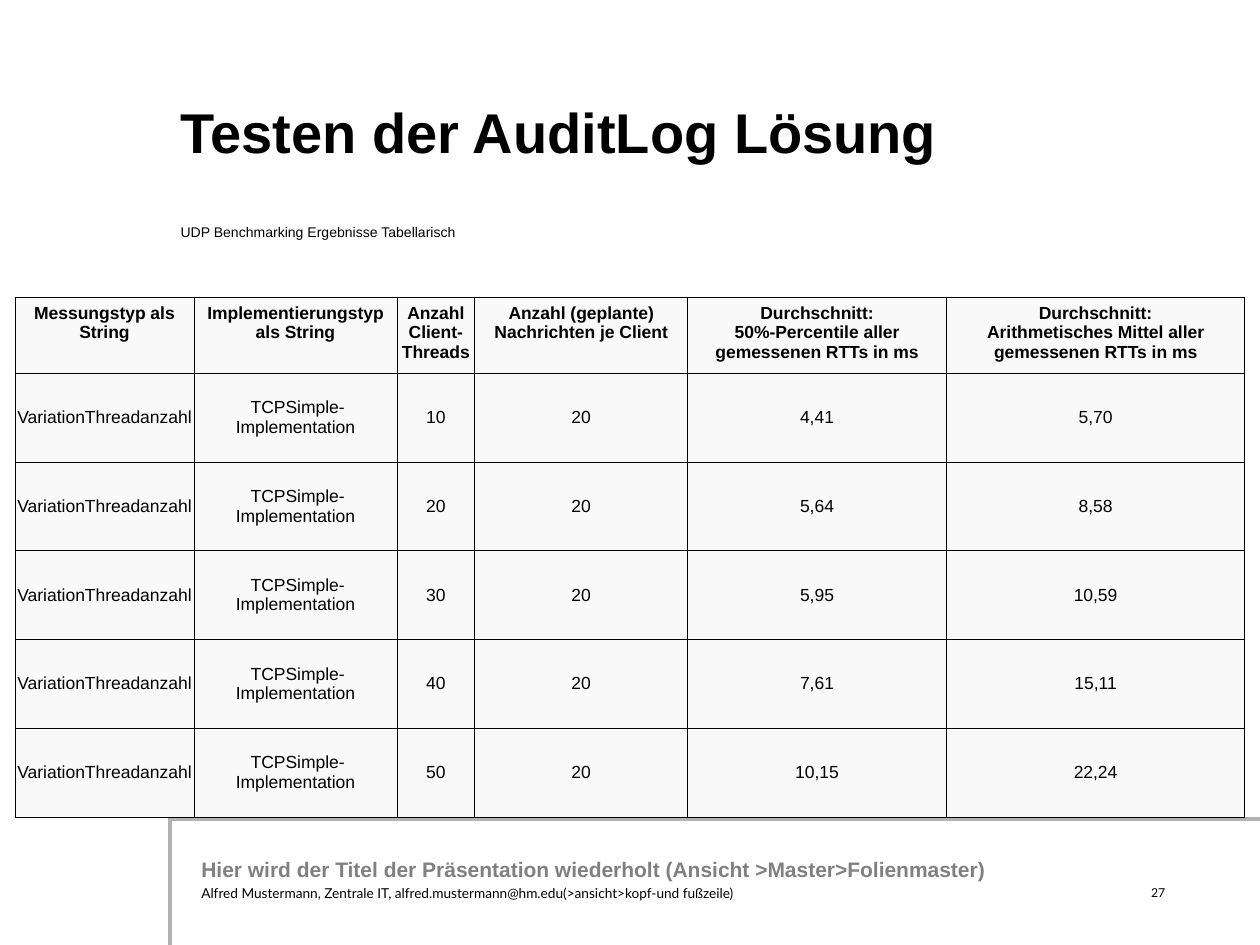
from lxml import etree
from pptx import Presentation
from pptx.dml.color import RGBColor
from pptx.enum.shapes import MSO_CONNECTOR
from pptx.enum.text import MSO_ANCHOR, PP_ALIGN
from pptx.oxml import parse_xml
from pptx.oxml.ns import nsdecls, qn
from pptx.util import Cm, Pt

TOP, MIDDLE = MSO_ANCHOR.TOP, MSO_ANCHOR.MIDDLE
LEFT, CENTER, RIGHT = PP_ALIGN.LEFT, PP_ALIGN.CENTER, PP_ALIGN.RIGHT
STRAIGHT = MSO_CONNECTOR.STRAIGHT


def rgb(value):
    return RGBColor.from_string(value)


def write(frame, text, size, font="Arial", color="000000", bold=False, align=LEFT, spacing=None):
    frame.word_wrap = True
    paragraph = frame.paragraphs[0]
    paragraph.text = text
    paragraph.alignment = align
    paragraph.line_spacing = spacing
    for run in paragraph.runs:
        run.font.size = Pt(size)
        run.font.name = font
        run.font.bold = bold
        run.font.color.rgb = rgb(color)


presentation = Presentation()
presentation.slide_width = Cm(25.4)
presentation.slide_height = Cm(19.05)
slide = presentation.slides.add_slide(presentation.slide_layouts[6])

for x1, y1, x2, y2 in [(3.39, 16.51, 25.4, 16.51), (3.43, 19.05, 3.43, 16.51)]:
    rule = slide.shapes.add_connector(STRAIGHT, Cm(x1), Cm(y1), Cm(x2), Cm(y2))
    rule.line.color.rgb = rgb("B2B2B2")
    rule.line.width = Pt(2.25)
    etree.SubElement(rule._element.spPr, qn("a:effectLst"))

texts = [
    ("Hier wird der Titel der Präsentation wiederholt (Ansicht >Master>Folienmaster)",
     (3.81, 17.15, 16.93, 0.76), 0, TOP, dict(size=12, color="808080", bold=True)),
    ("Alfred Mustermann, Zentrale IT, alfred.mustermann@hm.edu(>ansicht>kopf-und fußzeile)",
     (3.81, 17.78, 16.93, 0.64), 0.25, TOP, dict(size=7.8, font="Lato", spacing=0.8)),
    ("27", (20.74, 17.78, 2.75, 0.64), 0, TOP,
     dict(size=7, font="Lato", align=RIGHT, spacing=0.8)),
    ("Testen der AuditLog Lösung", (3.39, 0.85, 20.11, 3.6), 0.25, MIDDLE,
     dict(size=32, bold=True)),
    ("UDP Benchmarking Ergebnisse Tabellarisch", (3.39, 4.45, 15.11, 1.1), 0.25, TOP,
     dict(size=8, spacing=0.8)),
]
for text, bounds, right_inset, anchor, style in texts:
    frame = slide.shapes.add_textbox(*map(Cm, bounds)).text_frame
    frame.margin_right = Cm(right_inset)
    frame.vertical_anchor = anchor
    write(frame, text, **style)

headings = [
    "Messungstyp als String",
    "Implementierungstyp als String",
    "Anzahl Client-Threads",
    "Anzahl (geplante) Nachrichten je Client",
    "Durchschnitt:\v50%-Percentile aller gemessenen RTTs in ms",
    "Durchschnitt:\vArithmetisches Mittel aller gemessenen RTTs in ms",
]
measurements = [
    ("10", "4,41", "5,70"),
    ("20", "5,64", "8,58"),
    ("30", "5,95", "10,59"),
    ("40", "7,61", "15,11"),
    ("50", "10,15", "22,24"),
]
rows = [headings] + [
    ["VariationThreadanzahl", " TCPSimple-Implementation", threads, "20", median, mean]
    for threads, median, mean in measurements
]
column_widths = [3.61, 4.09, 1.57, 4.29, 5.22, 6.01]
row_heights = [1.51] + [1.79] * len(measurements)

results = slide.shapes.add_table(
    len(rows), len(headings), Cm(0.3), Cm(5.99),
    Cm(sum(column_widths)), Cm(sum(row_heights))).table
results.first_row = False
results.horz_banding = False
for column, width in zip(results.columns, column_widths):
    column.width = Cm(width)

for r, values in enumerate(rows):
    results.rows[r].height = Cm(row_heights[r])
    for c, value in enumerate(values):
        cell = results.cell(r, c)
        cell.margin_left = cell.margin_right = Cm(0.02)
        cell.margin_top = cell.margin_bottom = Cm(0.13)
        cell.vertical_anchor = MIDDLE if r else TOP
        write(cell.text_frame, value, size=10, bold=r == 0, align=CENTER)
        properties = cell._tc.get_or_add_tcPr()
        for side in ("lnL", "lnR", "lnT", "lnB"):
            properties.append(parse_xml(
                f'<a:{side} {nsdecls("a")} w="{Pt(0.45)}"><a:solidFill>'
                f'<a:srgbClr val="000000"/></a:solidFill></a:{side}>'))
        cell.fill.solid()
        cell.fill.fore_color.rgb = rgb("F9F9F9")

presentation.save("out.pptx")
